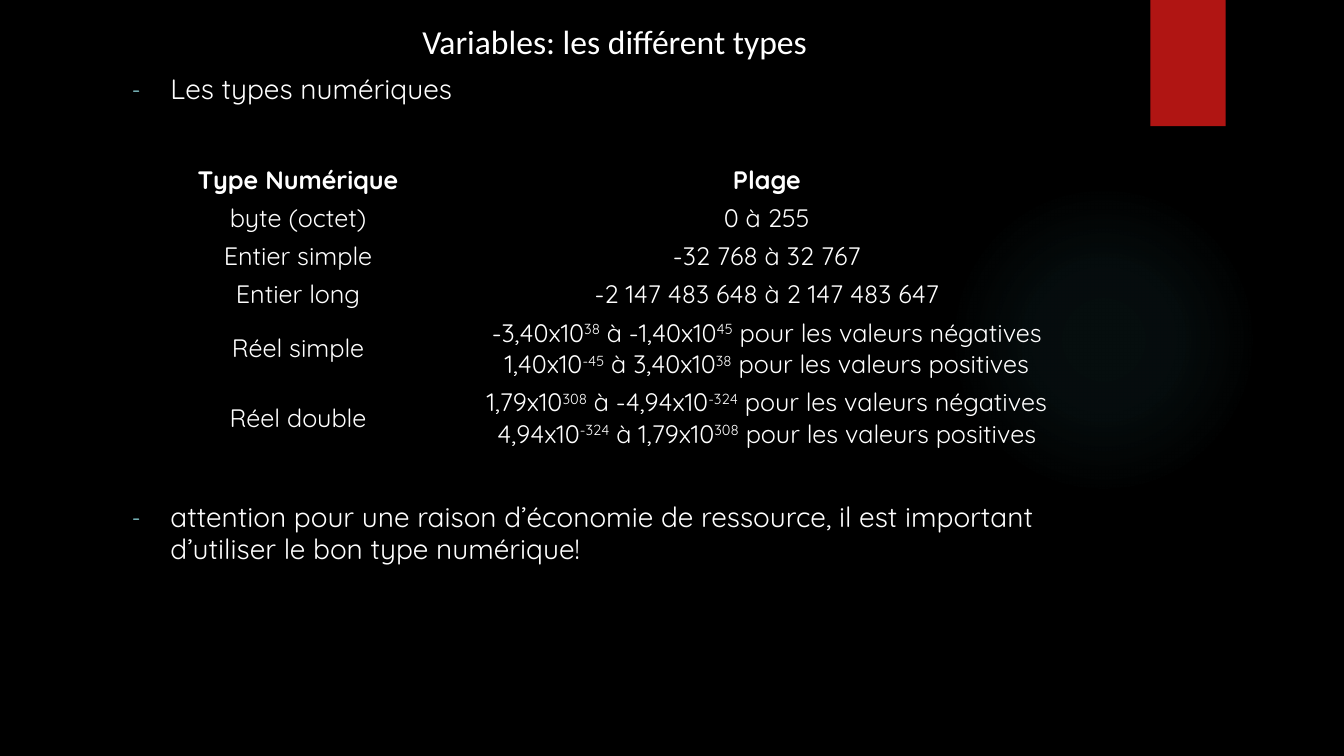
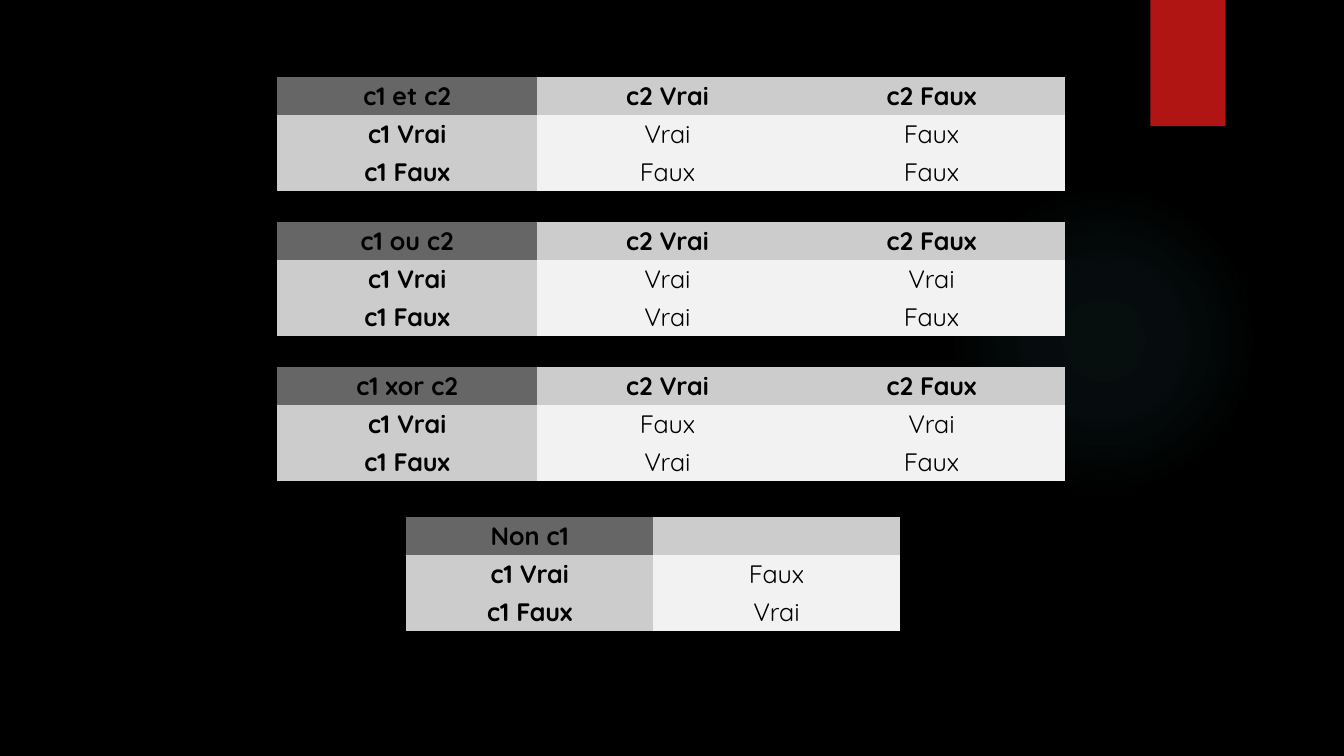
from pptx import Presentation
from pptx import util as u
from pptx import oxml as ox
from pptx.dml import color as dml
from pptx.enum import shapes, text
from pptx.oxml import ns

Cm, Pt = u.Cm, u.Pt
RGB = dml.RGBColor.from_string
FONT = "Quicksand"
NO_STYLE = "{2D5ABB26-0587-4C30-8999-92F81FD0307C}"
ROW, TALL_ROW = 0.96, 1.76
COLORS = {
    "back": "000000",
    "text": "FFFFFF",
    "ink": "000000",
    "glow": "50B9C1",
    "tab": "B01513",
    "bullet": "8AD0D6",
    "corner": "666666",
    "header": "CCCCCC",
    "cell": "F2F2F2",
}


def add_run(p, words, size, color, font=FONT, bold=False):
    r = p.add_run()
    r.text = words
    r.font.name, r.font.size, r.font.bold = font, Pt(size), bold
    r.font.color.rgb = RGB(COLORS[color])
    return r


def add_grid(s, left, top, widths, rows, filled=True):
    heights = [TALL_ROW if "\n" in row[-1] else ROW for row in rows]
    frame = s.shapes.add_table(len(rows), len(widths), Cm(left), Cm(top),
                               Cm(sum(widths)), Cm(sum(heights)))
    frame.element.find(".//" + ns.qn("a:tableStyleId")).text = NO_STYLE
    table = frame.table
    table.horz_banding = False
    for column, width in zip(table.columns, widths):
        column.width = Cm(width)
    for i, row in enumerate(rows):
        table.rows[i].height = Cm(heights[i])
        for j, words in enumerate(row):
            cell = table.cell(i, j)
            cell.vertical_anchor = text.MSO_ANCHOR.MIDDLE
            cell.margin_left = cell.margin_right = Cm(0.08)
            cell.margin_top = cell.margin_bottom = Cm(0.08)
            heading = i == 0 or (filled and j == 0)
            if filled:
                kind = "corner" if i + j == 0 else "header" if heading else "cell"
                cell.fill.solid()
                cell.fill.fore_color.rgb = RGB(COLORS[kind])
            else:
                cell.fill.background()
            p = cell.text_frame.paragraphs[0]
            p.alignment = text.PP_ALIGN.CENTER
            for n, line in enumerate(words.split("\n") if words else []):
                if n:
                    p.add_line_break()
                for k, part in enumerate(line.split("^")):
                    r = add_run(p, part, 18, "ink" if filled else "text", bold=heading)
                    if k % 2:
                        r._r.get_or_add_rPr().set("baseline", "30000")


prs = Presentation()
prs.slide_width, prs.slide_height = Cm(33.87), Cm(19.05)
master = prs.slide_master
master.background.fill.solid()
master.background.fill.fore_color.rgb = RGB(COLORS["back"])

s = prs.slides.add_slide(prs.slide_layouts[1])
glow = s.shapes.add_shape(shapes.MSO_SHAPE.OVAL, Cm(23.9), Cm(4.65), Cm(7.82), Cm(7.82))
stops = "".join(
    f'<a:gs pos="{pos}000"><a:srgbClr val="{COLORS["glow"]}">'
    f'<a:alpha val="{alpha}000"/></a:srgbClr></a:gs>'
    for pos, alpha in [(0, 7), (36, 6), (69, 0)])
glow.element.spPr.insert(2, ox.parse_xml(
    f'<a:gradFill {ns.nsdecls("a")}><a:gsLst>{stops}</a:gsLst><a:path path="circle">'
    '<a:fillToRect l="50000" t="50000" r="50000" b="50000"/></a:path></a:gradFill>'))
tab = s.shapes.add_shape(shapes.MSO_SHAPE.RECTANGLE, Cm(28.99), 0, Cm(1.9), Cm(3.18))
tab.fill.solid()
tab.fill.fore_color.rgb = RGB(COLORS["tab"])
for n, sp in enumerate([glow, tab]):
    sp.shadow.inherit = False
    sp.line.fill.background()
    sp.element.nvSpPr.cNvPr.set("id", str(20 + n))
    master.shapes.element.insert(2 + n, sp.element)

title, body = s.placeholders[0], s.placeholders[1]
for sp, top, height, anchor in [(title, 0.36, 1.35, text.MSO_ANCHOR.MIDDLE),
                                (body, 1.73, 17.32, text.MSO_ANCHOR.TOP)]:
    sp.left, sp.top, sp.width, sp.height = Cm(3.07), Cm(top), Cm(24.84), Cm(height)
    sp.text_frame.auto_size = text.MSO_AUTO_SIZE.NONE
    sp.text_frame.word_wrap = True
    sp.text_frame.vertical_anchor = anchor
p = title.text_frame.paragraphs[0]
p.alignment = text.PP_ALIGN.CENTER
add_run(p, "Variables: les différent types", 24, "text", "Calibri")

tf = body.text_frame
points = [
    ("Les types numériques", 0),
    ("attention pour une raison d’économie de ressource, il est important "
     "d’utiliser le bon type numérique!", 283),
]
for n, (words, before) in enumerate(points):
    p = tf.add_paragraph() if n else tf.paragraphs[0]
    p.space_before, p.line_spacing = Pt(before), 0.95
    pPr = p._p.get_or_add_pPr()
    pPr.set("marL", str(Cm(0.97)))
    pPr.set("indent", str(-Cm(0.97)))
    for xml in [f'<a:buClr {ns.nsdecls("a")}><a:srgbClr val="{COLORS["bullet"]}"/></a:buClr>',
                f'<a:buSzPct {ns.nsdecls("a")} val="80000"/>',
                f'<a:buFont {ns.nsdecls("a")} typeface="{FONT}"/>',
                f'<a:buChar {ns.nsdecls("a")} char="-"/>']:
        pPr.append(ox.parse_xml(xml))
    add_run(p, words, 20, "text")

add_grid(s, 4.32, 4.06, [6.38, 17.25], [
    ("Type Numérique", "Plage"),
    ("byte (octet)", "0 à 255"),
    ("Entier simple", "-32 768 à 32 767"),
    ("Entier long", "-2 147 483 648 à 2 147 483 647"),
    ("Réel simple",
     "-3,40x10^38^\u00a0à -1,40x10^45^\u00a0pour les valeurs négatives\n"
     "1,40x10^-45^\u00a0à 3,40x10^38^\u00a0pour les valeurs positives"),
    ("Réel double",
     "1,79x10^308^\u00a0à -4,94x10^-324^\u00a0pour les valeurs négatives\n"
     "4,94x10^-324^\u00a0à 1,79x10^308^\u00a0pour les valeurs positives"),
], filled=False)

s = prs.slides.add_slide(prs.slide_layouts[6])
operators = [
    ("et", ("Vrai", "Faux"), ("Faux", "Faux")),
    ("ou", ("Vrai", "Vrai"), ("Vrai", "Faux")),
    ("xor", ("Faux", "Vrai"), ("Vrai", "Faux")),
]
for n, (operator, if_true, if_false) in enumerate(operators):
    add_grid(s, 6.98, 1.94 + 3.65 * n, [6.56, 6.56, 6.75], [
        (f"c1 {operator} c2", "c2 Vrai", "c2 Faux"),
        ("c1 Vrai", *if_true),
        ("c1 Faux", *if_false),
    ])
add_grid(s, 10.24, 13.03, [6.22, 6.22],
         [("Non c1", ""), ("c1 Vrai", "Faux"), ("c1 Faux", "Vrai")])

prs.save("out.pptx")
